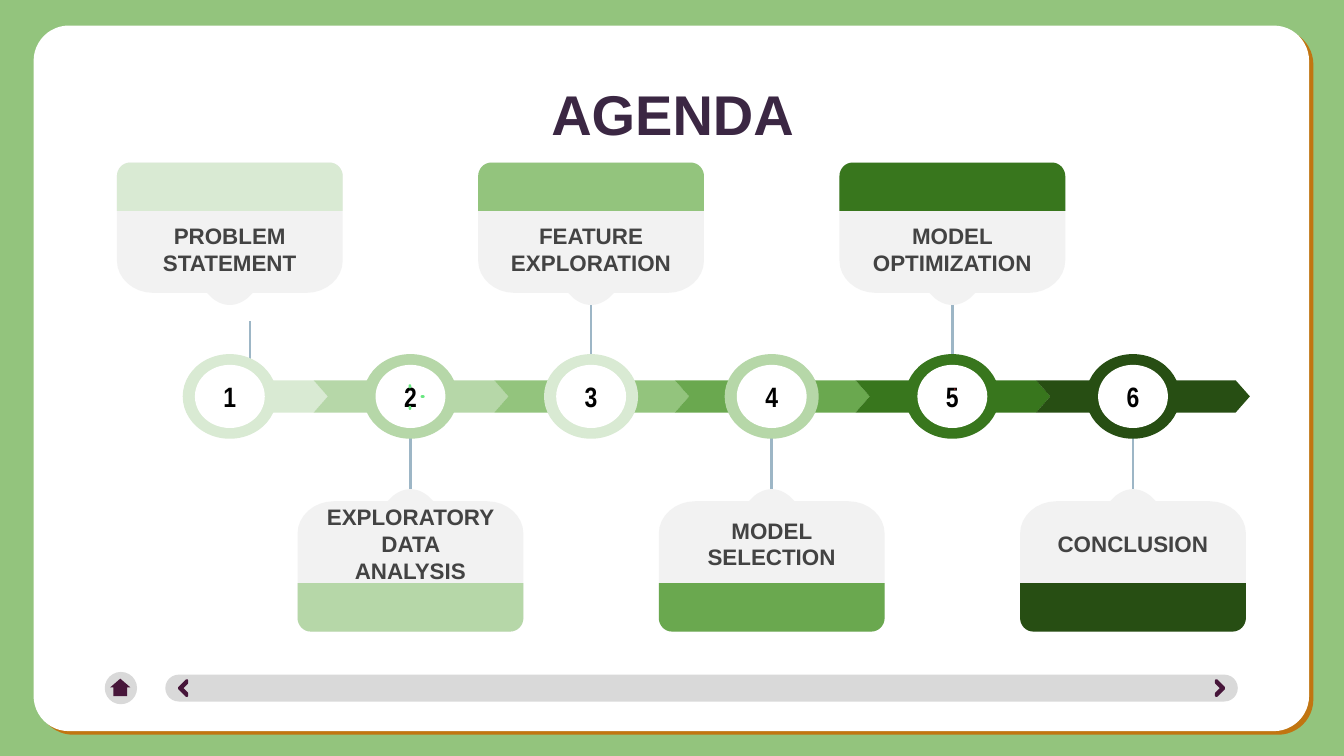
"""Build the agenda slide: a six-step timeline with cards alternating above and below."""
from lxml.etree import SubElement
from pptx import Presentation
from pptx.dml.color import RGBColor
from pptx.enum.shapes import MSO_CONNECTOR, MSO_SHAPE
from pptx.enum.text import MSO_ANCHOR, PP_ALIGN
from pptx.oxml.ns import qn
from pptx.util import Inches, Pt

COLORS = {
    "background": "93C47D", "white": "FFFFFF", "shadow": "C17511", "title": "3B2743",
    "label": "434343", "number": "000000", "card": "F2F2F2", "stem": "9DB6C6",
    "bar": "D9D9D9", "icon": "47163A", "green speck": "69E781", "red speck": "EC3A3B",
    "mist": "D9EAD3", "pale": "B6D7A8", "soft": "93C47D",
    "mid": "6AA84F", "deep": "38761D", "dark": "274E13",
}

TITLE = "AGENDA"
STEPS = [
    {"label": "PROBLEM STATEMENT", "color": "mist", "ring": "mist",
     "chevrons": [0.09], "stem shift": (0.15, 0.24)},
    {"label": "EXPLORATORY DATA ANALYSIS", "color": "pale", "ring": "pale"},
    {"label": "FEATURE EXPLORATION", "color": "soft", "ring": "mist"},
    {"label": "MODEL SELECTION", "color": "mid", "ring": "pale"},
    {"label": "MODEL OPTIMIZATION", "color": "deep", "ring": "deep"},
    {"label": "CONCLUSION", "color": "dark", "ring": "dark", "chevrons": [-0.72, 0.23]},
]
SPECKS = {
    1: [(3.04, 2.86, 0.02, 0.03, "green speck"), (3.04, 3.02, 0.02, 0.03, "green speck"),
        (3.13, 2.94, 0.03, 0.02, "green speck")],
    4: [(7.1, 2.89, 0.01, 0.01, "red speck")],
}

SLIDE_WIDTH = 10
SLIDE_HEIGHT = SLIDE_WIDTH * 9 / 16
FIRST_CENTER, LAST_CENTER = 1.71, 8.43
STEP_GAP = (LAST_CENTER - FIRST_CENTER) / (len(STEPS) - 1)
AXIS = 2.95
MIRROR_SUM = 5.91
TOP_CORNER = [[(0.74, 1.21)], [(0.80, 1.21), (0.84, 1.26), (0.84, 1.31)]]
BAND_HALF = TOP_CORNER + [[(0.84, 1.57)]]
CARD_HALF = TOP_CORNER + [
    [(0.84, 1.94)], [(0.84, 2.07), (0.72, 2.18), (0.57, 2.18)],
    [(0.17, 2.18)], [(0.13, 2.22)], [(0.09, 2.25), (0.05, 2.27), (0, 2.27)],
]


def rgb(name):
    return RGBColor.from_string(COLORS[name])


def paint(shape, color):
    shape.shadow.inherit = False
    shape.fill.solid()
    shape.fill.fore_color.rgb = rgb(color)
    shape.line.fill.background()
    return shape


def add_preset(slide, kind, left, top, width, height, color, adjustments=()):
    shape = slide.shapes.add_shape(kind, *map(Inches, (left, top, width, height)))
    for index, value in enumerate(adjustments):
        shape.adjustments[index] = value
    return paint(shape, color)


def write(shape, text, size, font_name, color, inset=0.1, anchor=MSO_ANCHOR.MIDDLE):
    frame = shape.text_frame
    frame.word_wrap = True
    frame.vertical_anchor = anchor
    frame.margin_left = frame.margin_right = Inches(inset)
    frame.margin_top = frame.margin_bottom = Inches(inset)
    paragraph = frame.paragraphs[0]
    paragraph.text = text
    paragraph.alignment = PP_ALIGN.CENTER
    font = paragraph.font
    font.size, font.name, font.bold = Pt(size), font_name, True
    font.color.rgb = rgb(color)


def add_text(slide, left, top, width, height, *style, **options):
    box = slide.shapes.add_textbox(*map(Inches, (left, top, width, height)))
    write(box, *style, **options)


def trace(segments, steps=8):
    points = []
    for segment in segments:
        if len(segment) == 1:
            points += segment
            continue
        controls = [points[-1], *segment]
        for step in range(1, steps + 1):
            t = step / steps
            weights = ((1 - t) ** 3, 3 * t * (1 - t) ** 2, 3 * t * t * (1 - t), t ** 3)
            points.append(tuple(sum(w * p[axis] for w, p in zip(weights, controls))
                                for axis in (0, 1)))
    return points


def add_symmetric(slide, half, center, above, color):
    right = trace(half)
    outline = right + [(-x, y) for x, y in reversed(right)]
    points = [(Inches(center + x), Inches(y if above else MIRROR_SUM - y)) for x, y in outline]
    builder = slide.shapes.build_freeform(*points[0])
    builder.add_line_segments(points[1:], close=True)
    paint(builder.convert_to_shape(), color)


def add_stem(slide, x, start, end):
    stem = slide.shapes.add_connector(MSO_CONNECTOR.STRAIGHT, *map(Inches, (x, start, x, end)))
    stem.line.color.rgb = rgb("stem")
    stem.line.width = Pt(1.41)
    SubElement(stem._element.spPr, qn("a:effectLst"))


def add_disc(slide, center, width, height, color):
    return add_preset(slide, MSO_SHAPE.OVAL, center - width / 2, AXIS - height / 2,
                      width, height, color)


def add_step(slide, index, step):
    center = FIRST_CENTER + index * STEP_GAP
    above = index % 2 == 0
    for offset in step.get("chevrons", [-0.72, 0.09]):
        add_preset(slide, MSO_SHAPE.CHEVRON, center + offset, 2.83, 0.64, 0.24,
                   step["color"], [0.44])
    shift_x, shift_y = step.get("stem shift", (0, 0))
    add_stem(slide, center + shift_x, AXIS + shift_y, AXIS + shift_y + (-0.8 if above else 0.82))
    add_symmetric(slide, CARD_HALF, center, above, "card")
    add_symmetric(slide, BAND_HALF, center, above, step["color"])
    add_disc(slide, center, 0.7, 0.63, step["ring"])
    hole = add_disc(slide, center, 0.52, 0.47, "white")
    write(hole, str(index + 1), 15, "Arial Narrow", "number", inset=0)
    for *place, color in SPECKS.get(index, []):
        add_preset(slide, MSO_SHAPE.ROUNDED_RECTANGLE, *place, color, [0.5])
    add_text(slide, center - 0.73, 1.57 if above else 3.76, 1.46, 0.57,
             step["label"], 12, "Arial", "label")


def add_panel(slide):
    panel = add_preset(slide, MSO_SHAPE.ROUNDED_RECTANGLE, 0.25, 0.19, 9.49, 5.25,
                       "white", [0.05])
    effects = panel._element.spPr.find(qn("a:effectLst"))
    shadow = SubElement(effects, qn("a:outerShdw"), blurRad="0", dist=str(Pt(3)),
                        dir=str(40 * 60000), algn="bl", rotWithShape="0")
    SubElement(shadow, qn("a:srgbClr"), val=COLORS["shadow"])


def add_navigation(slide):
    add_preset(slide, MSO_SHAPE.ROUNDED_RECTANGLE, 1.23, 5.02, 7.98, 0.2, "bar", [0.5])
    for left, rotation in [(1.35, 315), (9.01, 135)]:
        arrow = add_preset(slide, MSO_SHAPE.HALF_FRAME, left, 5.08, 0.08, 0.08,
                           "icon", [0.15, 0.15])
        arrow.rotation = rotation
        arrow.line.color.rgb = rgb("icon")
        arrow.line.width = Pt(1.5)
    add_preset(slide, MSO_SHAPE.OVAL, 0.78, 5, 0.24, 0.24, "bar")
    add_preset(slide, MSO_SHAPE.UP_ARROW, 0.82, 5.05, 0.15, 0.13, "icon", [0.67, 0.5])


def main():
    presentation = Presentation()
    presentation.slide_width = Inches(SLIDE_WIDTH)
    presentation.slide_height = Inches(SLIDE_HEIGHT)
    slide = presentation.slides.add_slide(presentation.slide_layouts[6])
    slide.background.fill.solid()
    slide.background.fill.fore_color.rgb = rgb("background")
    add_panel(slide)
    add_navigation(slide)
    add_text(slide, 0.79, 0.49, 8.43, 0.63, TITLE, 30, "Arial", "title", anchor=MSO_ANCHOR.TOP)
    for index, step in enumerate(STEPS):
        add_step(slide, index, step)
    presentation.save("out.pptx")


if __name__ == "__main__":
    main()
